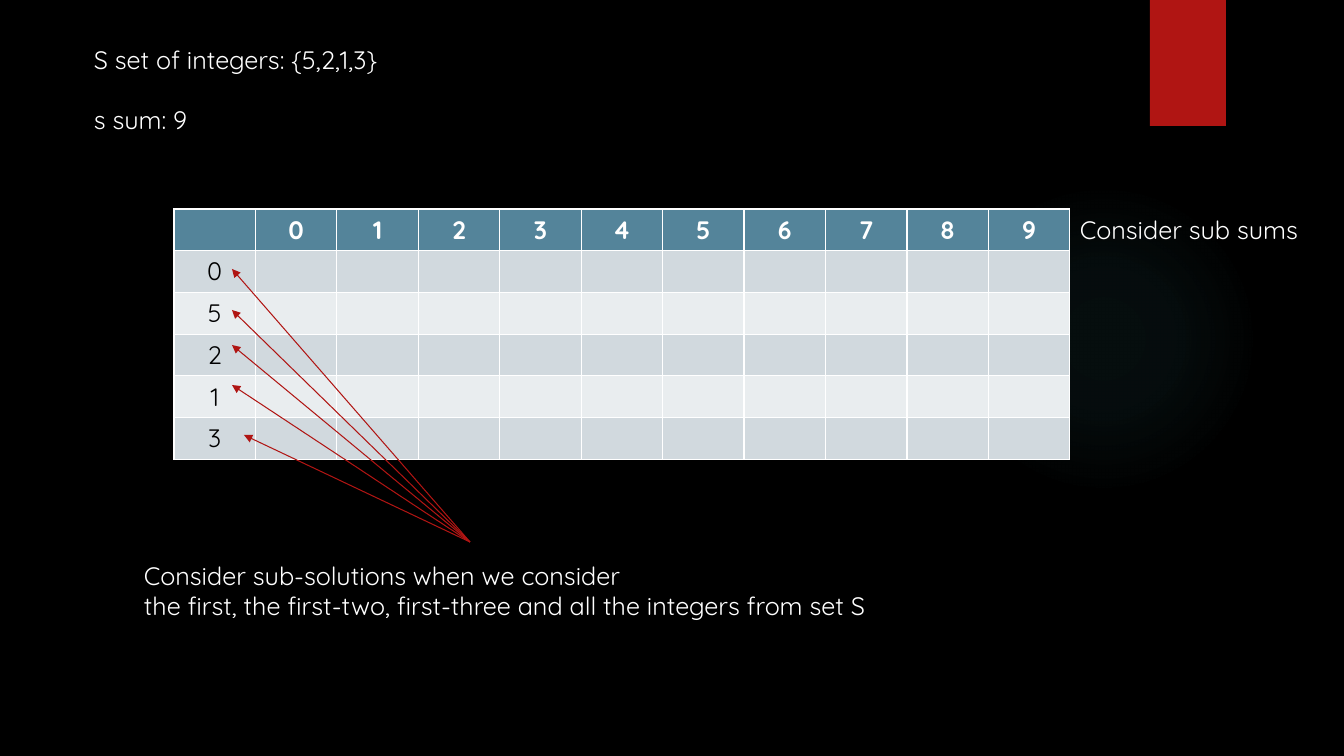
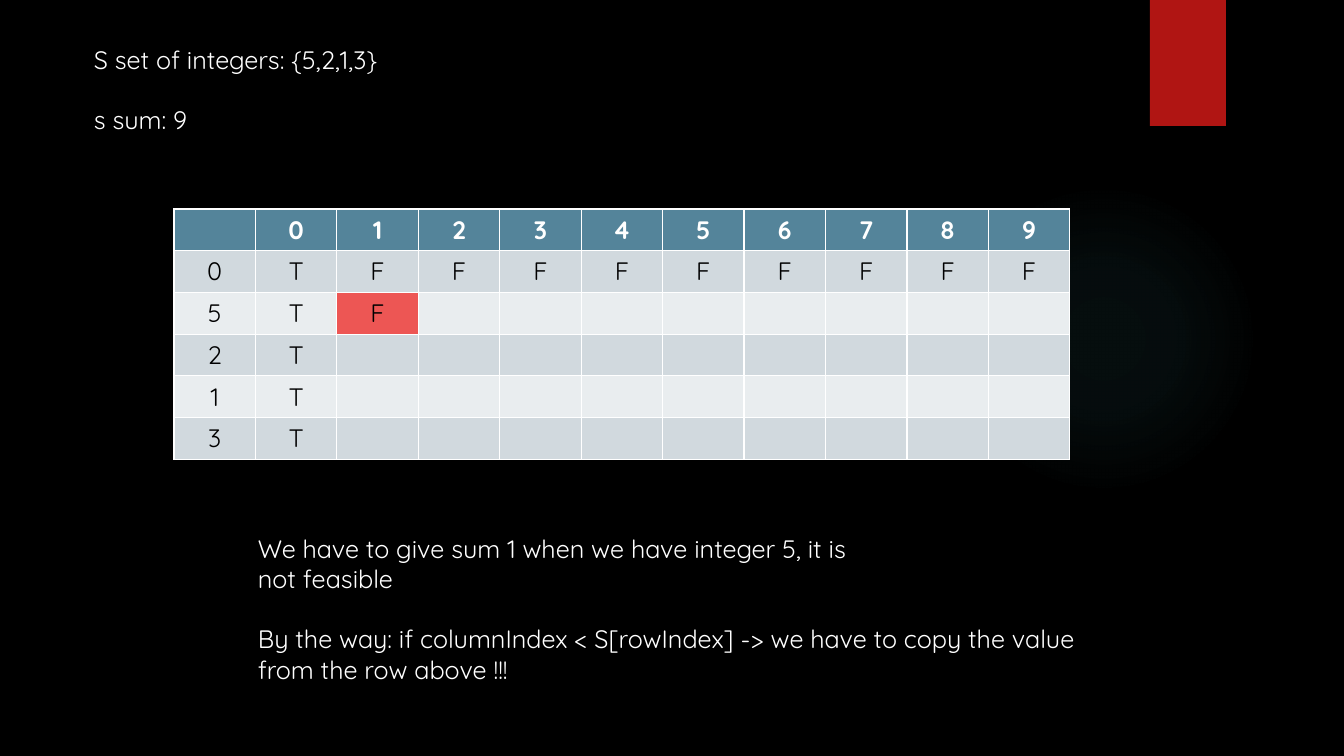
from dataclasses import dataclass

from pptx import Presentation
from pptx.dml.color import RGBColor
from pptx.enum.shapes import MSO_CONNECTOR, MSO_SHAPE
from pptx.enum.text import MSO_AUTO_SIZE, PP_ALIGN
from pptx.oxml import parse_xml
from pptx.oxml.ns import nsdecls
from pptx.oxml.xmlchemy import OxmlElement
from pptx.util import Emu, Pt


@dataclass(frozen=True)
class Theme:
    font: str = "Quicksand"
    text_size: float = 18
    group_gap: float = 21.6
    arrow_width: float = 0.75
    background: RGBColor = RGBColor.from_string("000000")
    light_text: RGBColor = RGBColor.from_string("FFFFFF")
    dark_text: RGBColor = RGBColor.from_string("000000")
    accent: RGBColor = RGBColor.from_string("B01513")
    glow: RGBColor = RGBColor.from_string("50B9C1")
    header: RGBColor = RGBColor.from_string("54849A")
    odd_row: RGBColor = RGBColor.from_string("D1D9DE")
    even_row: RGBColor = RGBColor.from_string("E9EDEF")
    highlight: RGBColor = RGBColor.from_string("ED5654")


THEME = Theme()
SLIDE_WIDTH, SLIDE_HEIGHT = 1344, 756
EMU_PER_PX = 12192000 / SLIDE_WIDTH
GLOW_STOPS = [(0, 7), (36, 6), (69, 0)]
TABLE_BOX = (174, 209, 896, 245)
SUMS = [str(number) for number in range(10)]
ROW_LABELS = ["0", "5", "2", "1", "3"]
ARROW_START = (470, 542)
ARROW_ENDS = [(244, 435), (232, 269), (232, 310), (232, 345), (232, 385)]
PROBLEM = ("S set of integers: {5,2,1,3}\n\ns sum: 9", (84, 39, 322, 102))


def px(length):
    return Emu(round(length * EMU_PER_PX))


def write_text(frame, text, *, color=THEME.light_text, bold=False, alignment=PP_ALIGN.LEFT):
    paragraph = frame.paragraphs[0]
    for group_index, group in enumerate(text.split("\n\n")):
        for line_index, line in enumerate(group.split("\n")):
            if group_index or line_index:
                paragraph = frame.add_paragraph()
            if group_index and not line_index:
                paragraph.space_before = Pt(THEME.group_gap)
            paragraph.alignment = alignment
            run = paragraph.add_run()
            run.text = line
            run.font.name = THEME.font
            run.font.size = Pt(THEME.text_size)
            run.font.bold = bold
            run.font.color.rgb = color


slides = [
    {
        "values": {},
        "highlighted": [],
        "arrow_ends": ARROW_ENDS,
        "texts": [
            PROBLEM,
            ("Consider sub sums", (1070, 209, 246, 40)),
            (
                "Consider sub-solutions when we consider\n"
                "the first, the first-two, first-three and all the integers from set S",
                (134, 555, 760, 72),
            ),
        ],
    },
    {
        "values": {
            **{(row, 1): "T" for row in range(1, 6)},
            **{(1, column): "F" for column in range(2, 11)},
            (2, 2): "F",
        },
        "highlighted": [(2, 2)],
        "arrow_ends": [],
        "texts": [
            PROBLEM,
            (
                "We have to give sum 1 when we have integer 5, it is\nnot feasible\n\n"
                "By the way: if columnIndex < S[rowIndex] -> we have to copy the value\n"
                "from the row above !!!",
                (248, 528, 898, 163),
            ),
        ],
    },
]

presentation = Presentation()
presentation.slide_width = px(SLIDE_WIDTH)
presentation.slide_height = px(SLIDE_HEIGHT)
master_fill = presentation.slide_master.background.fill
master_fill.solid()
master_fill.fore_color.rgb = THEME.background

for content in slides:
    slide = presentation.slides.add_slide(presentation.slide_layouts[6])

    glow = slide.shapes.add_shape(MSO_SHAPE.OVAL, px(949), px(184), px(310), px(310))
    glow.shadow.inherit = False
    glow.line.fill.background()
    stops = "".join(
        f'<a:gs pos="{position * 1000}"><a:srgbClr val="{THEME.glow}">'
        f'<a:alpha val="{opacity * 1000}"/></a:srgbClr></a:gs>'
        for position, opacity in GLOW_STOPS
    )
    gradient = parse_xml(
        f'<a:gradFill {nsdecls("a")}><a:gsLst>{stops}</a:gsLst><a:path path="circle">'
        '<a:fillToRect l="50000" t="50000" r="50000" b="50000"/></a:path></a:gradFill>'
    )
    glow.element.spPr.insert(2, gradient)

    band = slide.shapes.add_shape(MSO_SHAPE.RECTANGLE, px(1150), px(0), px(76), px(126))
    band.shadow.inherit = False
    band.line.fill.background()
    band.fill.solid()
    band.fill.fore_color.rgb = THEME.accent

    row_count, column_count = len(ROW_LABELS) + 1, len(SUMS) + 1
    table = slide.shapes.add_table(
        row_count, column_count, *[px(length) for length in TABLE_BOX]
    ).table
    values = {
        **{(0, column): label for column, label in enumerate(SUMS, 1)},
        **{(row, 0): label for row, label in enumerate(ROW_LABELS, 1)},
        **content["values"],
    }
    for row in range(row_count):
        for column in range(column_count):
            cell = table.cell(row, column)
            if (row, column) in content["highlighted"]:
                color = THEME.highlight
            elif row == 0:
                color = THEME.header
            else:
                color = THEME.odd_row if row % 2 else THEME.even_row
            cell.fill.solid()
            cell.fill.fore_color.rgb = color
            if (row, column) in values:
                write_text(
                    cell.text_frame,
                    values[row, column],
                    color=THEME.dark_text if row else THEME.light_text,
                    bold=row == 0,
                    alignment=PP_ALIGN.CENTER,
                )

    for text, box in content["texts"]:
        frame = slide.shapes.add_textbox(*[px(length) for length in box]).text_frame
        frame.word_wrap = False
        frame.auto_size = MSO_AUTO_SIZE.SHAPE_TO_FIT_TEXT
        write_text(frame, text)

    for end in content["arrow_ends"]:
        arrow = slide.shapes.add_connector(
            MSO_CONNECTOR.STRAIGHT, *[px(length) for length in ARROW_START + end]
        )
        arrow.line.color.rgb = THEME.accent
        arrow.line.width = Pt(THEME.arrow_width)
        arrowhead = OxmlElement("a:tailEnd")
        arrowhead.set("type", "triangle")
        arrow.line._get_or_add_ln().append(arrowhead)
        arrow.element.spPr.append(OxmlElement("a:effectLst"))

presentation.save("out.pptx")
